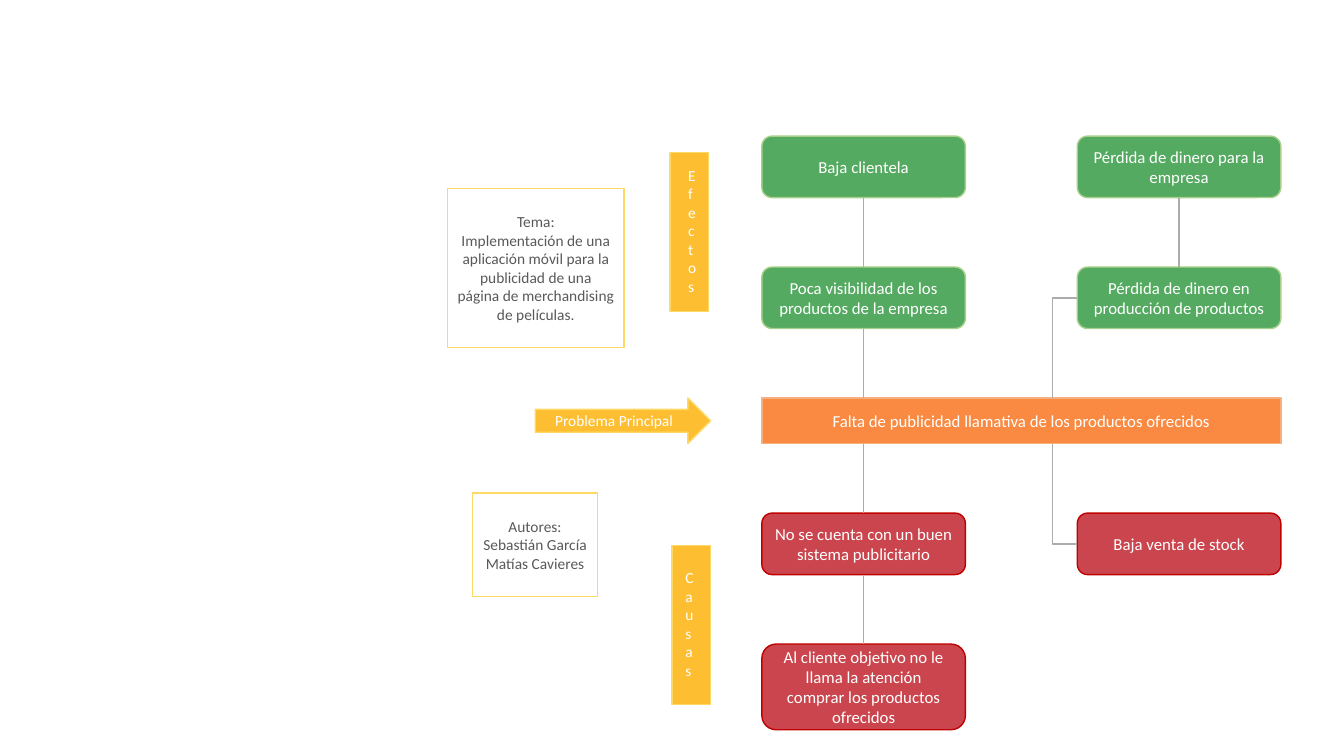
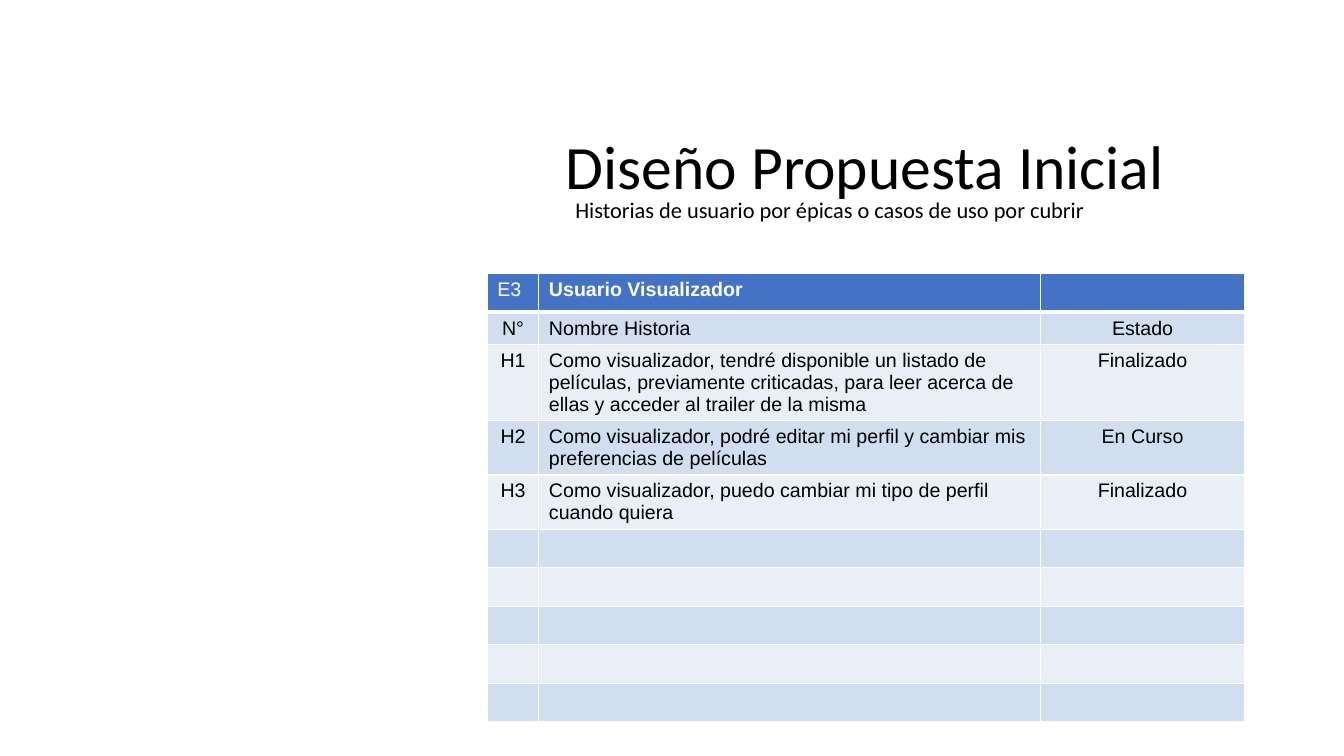
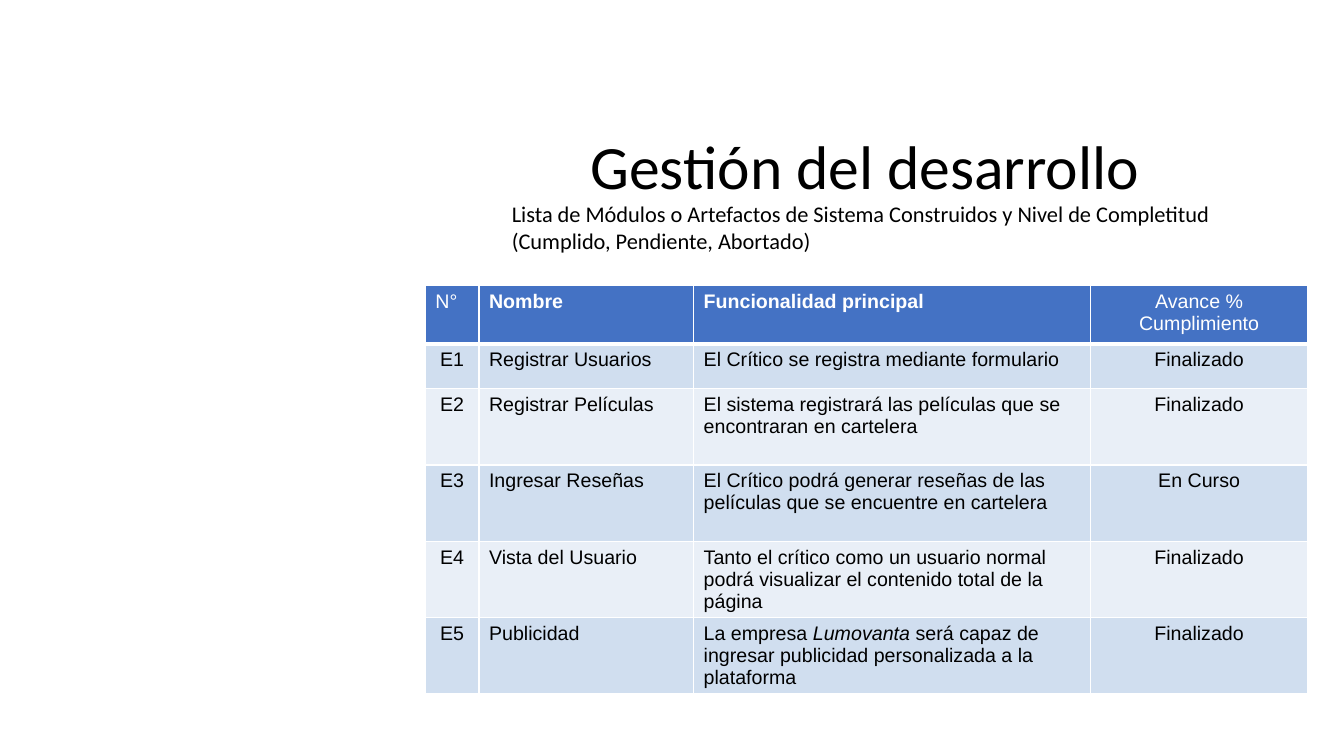
import pptx
import pptx.util
import pptx.dml.color
import pptx.enum.shapes
import pptx.enum.text
import pptx.oxml.ns
from lxml import etree

Cm, Pt = pptx.util.Cm, pptx.util.Pt
KIND = pptx.enum.shapes.MSO_SHAPE
LINK = pptx.enum.shapes.MSO_CONNECTOR
ALIGN = pptx.enum.text.PP_ALIGN
ANCHOR = pptx.enum.text.MSO_ANCHOR
qn = pptx.oxml.ns.qn

COLORS = {
    "white": "FFFFFF", "black": "000000", "gray": "595959", "link": "AEABAB",
    "yellow": "FEBE32", "pale yellow": "FFD966",
    "orange": "FA8A42", "pale orange": "F4B081",
    "green": "55AA61", "pale green": "A8D08C",
    "red": "CA454D", "dark red": "C00000",
    "header": "4472C4", "band dark": "D0DEEF", "band light": "E9EFF7",
}

# Problem tree, lengths in cm
TREE_LEFT, TREE_RIGHT, NODE_WIDTH = 19.2, 27.15, 5.13
TREE_TOP, LEVEL_GAP = 3.43, 1.75
ELBOW_X = 26.52
LEVELS = [
    (1.55, "Baja clientela", "Pérdida de dinero para la empresa"),
    (1.55, "Poca visibilidad de los productos de la empresa",
     "Pérdida de dinero en producción de productos"),
    (1.15, "Falta de publicidad llamativa de los productos ofrecidos", None),
    (1.55, "No se cuenta con un buen sistema publicitario", "Baja venta de stock"),
    (2.16, "Al cliente objetivo no le llama la atención comprar los productos ofrecidos", None),
]
PROBLEM_LEVEL = 2

CARDS = [
    ((11.28, 4.75, 4.45, 4.01),
     "Tema:\nImplementación de una aplicación móvil para la publicidad de una "
     "página de merchandising de películas."),
    ((11.91, 12.42, 3.15, 2.62), "Autores:\nSebastián García\nMatías Cavieres"),
]
LABELS = [
    (KIND.RIGHT_ARROW, (13.49, 10.03, 4.42, 1.15), (13.74, 10.24, 3.51, 0.74), "Problema Principal"),
    (KIND.RECTANGLE, (16.89, 3.84, 0.97, 4.01), (17.09, 4.06, 0.58, 3.56), "Efectos"),
    (KIND.RECTANGLE, (16.94, 13.74, 0.97, 4.01), (17.02, 14.2, 0.71, 3.07), "Causas"),
]

# Asterisks enclose italic text
TABLE_PAGES = [
    {
        "title": "Diseño Propuesta Inicial",
        "subtitle": "Historias de usuario por épicas o casos de uso por cubrir",
        "subtitle at": (14.25, 4.83, 18.34, 0.94),
        "table at": (12.28, 6.9),
        "widths": [1.3, 12.65, 5.13],
        "heights": [0.97, 0.79, 1.92, 1.37, 1.37] + [0.97] * 5,
        "rows": [
            ("E3", "Usuario Visualizador", ""),
            ("N°", "Nombre Historia", "Estado"),
            ("H1", "Como visualizador, tendré disponible un listado de películas, previamente "
                   "criticadas, para leer acerca de ellas y acceder al trailer de la misma", "Finalizado"),
            ("H2", "Como visualizador, podré editar mi perfil y cambiar mis preferencias de "
                   "películas", "En Curso"),
            ("H3", "Como visualizador, puedo cambiar mi tipo de perfil cuando quiera", "Finalizado"),
        ],
    },
    {
        "title": "Gestión del desarrollo",
        "subtitle": "Lista de Módulos o Artefactos de Sistema Construidos y Nivel de Completitud "
                    "(Cumplido, Pendiente, Abortado)",
        "subtitle at": (12.65, 4.93, 18.34, 1.63),
        "table at": (10.72, 7.19),
        "widths": [1.35, 5.41, 10.01, 5.46],
        "heights": [1.47, 1.14, 1.92, 1.92, 1.92, 1.92],
        "rows": [
            ("N°", "Nombre", "Funcionalidad principal", "Avance % Cumplimiento"),
            ("E1", "Registrar Usuarios", "El Crítico se registra mediante formulario", "Finalizado"),
            ("E2", "Registrar Películas",
             "El sistema registrará las películas que se encontraran en cartelera", "Finalizado"),
            ("E3", "Ingresar Reseñas",
             "El Crítico podrá generar reseñas de las películas que se encuentre en cartelera", "En Curso"),
            ("E4", "Vista del Usuario",
             "Tanto el crítico como un usuario normal podrá visualizar el contenido total de la página",
             "Finalizado"),
            ("E5", "Publicidad",
             "La empresa *Lumovanta* será capaz de ingresar publicidad personalizada a la plataforma",
             "Finalizado"),
        ],
    },
]
TITLE_AT = (11.3, 3.23, 21.01, 2.06)


def rgb(name):
    return pptx.dml.color.RGBColor.from_string(COLORS[name])


def lengths(values):
    return [Cm(value) for value in values]


def write(frame, text, size=11, color="white", font="Calibri", bold=False,
          align=ALIGN.LEFT, anchor=ANCHOR.TOP, spacing=None):
    """Fill a text frame: one paragraph a line, italics between asterisks."""
    frame.word_wrap = True
    frame.vertical_anchor = anchor
    for number, line in enumerate(text.split("\n")):
        para = frame.add_paragraph() if number else frame.paragraphs[0]
        para.alignment = align
        if spacing:
            para.line_spacing = spacing
        for index, part in enumerate(line.split("*")):
            span = para.add_run()
            span.text = part
            span.font.name = font
            span.font.size = Pt(size)
            span.font.bold = bold
            span.font.italic = index % 2 == 1
            span.font.color.rgb = rgb(color)


def add_box(page, kind, place, fill, line):
    box = page.shapes.add_shape(kind, *lengths(place))
    box.shadow.inherit = False
    box.fill.solid()
    box.fill.fore_color.rgb = rgb(fill)
    box.line.color.rgb = rgb(line)
    box.line.width = Pt(1)
    return box


def add_text(page, place, text, **style):
    write(page.shapes.add_textbox(*lengths(place)).text_frame, text, **style)


def add_link(page, start, end, kind=LINK.STRAIGHT):
    link = page.shapes.add_connector(kind, *lengths(start + end))
    link.line.color.rgb = rgb("link")
    link.line.width = Pt(1)
    etree.SubElement(link._element.spPr, qn("a:effectLst"))
    return link


def add_elbow(page, node, start, end):
    """Leave the node sideways, then turn once towards the end."""
    elbow = add_link(page, start, end, LINK.ELBOW)
    elbow._element.spPr.find(qn("a:prstGeom")).set("prst", "bentConnector2")
    elbow.begin_connect(node, 1)


def add_tree(page):
    tops, top = [], TREE_TOP
    for height, *_ in LEVELS:
        tops.append(top)
        top += height + LEVEL_GAP
    problem_top = tops[PROBLEM_LEVEL]
    problem_bottom = problem_top + LEVELS[PROBLEM_LEVEL][0]
    nodes = {}
    for level, (height, *texts) in enumerate(LEVELS):
        for left, text in zip((TREE_LEFT, TREE_RIGHT), texts):
            if not text:
                continue
            kind, width = KIND.ROUNDED_RECTANGLE, NODE_WIDTH
            if level < PROBLEM_LEVEL:
                colors = "green", "pale green"
            elif level > PROBLEM_LEVEL:
                colors = "red", "dark red"
            else:
                kind, width = KIND.RECTANGLE, TREE_RIGHT + NODE_WIDTH - TREE_LEFT
                colors = "orange", "pale orange"
            node = add_box(page, kind, (left, tops[level], width, height), *colors)
            write(node.text_frame, text, size=12, align=ALIGN.CENTER, anchor=ANCHOR.MIDDLE)
            nodes[level, left] = node

    left_axis, right_axis = TREE_LEFT + NODE_WIDTH / 2, TREE_RIGHT + NODE_WIDTH / 2
    for axis, lower_levels in ((left_axis, range(1, len(LEVELS))), (right_axis, [1])):
        for level in lower_levels:
            add_link(page, (axis, tops[level] - LEVEL_GAP), (axis, tops[level]))
    for level, end in ((PROBLEM_LEVEL - 1, problem_top), (PROBLEM_LEVEL + 1, problem_bottom)):
        middle = tops[level] + LEVELS[level][0] / 2
        add_elbow(page, nodes[level, TREE_RIGHT], (TREE_RIGHT, middle), (ELBOW_X, end))


def add_problem_page(deck):
    page = deck.slides.add_slide(deck.slide_layouts[6])
    for place, text in CARDS:
        card = add_box(page, KIND.RECTANGLE, place, "white", "pale yellow")
        card.text_frame.margin_top = Cm(0.6)
        write(card.text_frame, text, color="gray", align=ALIGN.CENTER)
    for kind, place, text_place, text in LABELS:
        add_box(page, kind, place, "yellow", "pale yellow")
        add_text(page, text_place, text)
    add_tree(page)


def set_borders(cell, **widths):
    for side in "LRTB":
        line = etree.SubElement(cell._tc.get_or_add_tcPr(), qn("a:ln" + side),
                                w=str(Pt(widths.get(side, 1))))
        fill = etree.SubElement(line, qn("a:solidFill"))
        etree.SubElement(fill, qn("a:srgbClr"), val=COLORS["white"])


def add_grid(page, place, widths, heights, rows):
    size = (sum(widths), sum(heights))
    grid = page.shapes.add_table(len(heights), len(widths), *lengths(place + size)).table
    for column, width in zip(grid.columns, widths):
        column.width = Cm(width)
    last = len(widths) - 1
    for r, height in enumerate(heights):
        grid.rows[r].height = Cm(height)
        for c in range(len(widths)):
            cell = grid.cell(r, c)
            set_borders(cell, B=3 if r == 0 else 1, T=3 if r == 1 else 1)
            cell.fill.solid()
            cell.fill.fore_color.rgb = rgb("header" if r == 0 else "band dark" if r % 2 else "band light")
            text = rows[r][c] if r < len(rows) else ""
            if not text:
                cell.margin_top = cell.margin_bottom = 0
                continue
            centered = c == last or (c == 0 and r > 0)
            write(cell.text_frame, text, size=14, font="Arial",
                  color="black" if r else "white", bold=r == 0 and 0 < c < last,
                  align=ALIGN.CENTER if centered else ALIGN.LEFT)


def add_table_page(deck, content):
    page = deck.slides.add_slide(deck.slide_layouts[5])
    title = page.shapes.title
    title.left, title.top, title.width, title.height = lengths(TITLE_AT)
    title.text_frame.auto_size = pptx.enum.text.MSO_AUTO_SIZE.NONE
    write(title.text_frame, content["title"], size=44, color="black",
          align=ALIGN.CENTER, anchor=ANCHOR.MIDDLE, spacing=0.9)
    add_grid(page, content["table at"], content["widths"], content["heights"], content["rows"])
    add_text(page, content["subtitle at"], content["subtitle"], size=16, color="black")


def main():
    deck = pptx.Presentation()
    deck.slide_width, deck.slide_height = Cm(33.87), Cm(19.05)
    add_problem_page(deck)
    for content in TABLE_PAGES:
        add_table_page(deck, content)
    deck.save("out.pptx")


if __name__ == "__main__":
    main()
